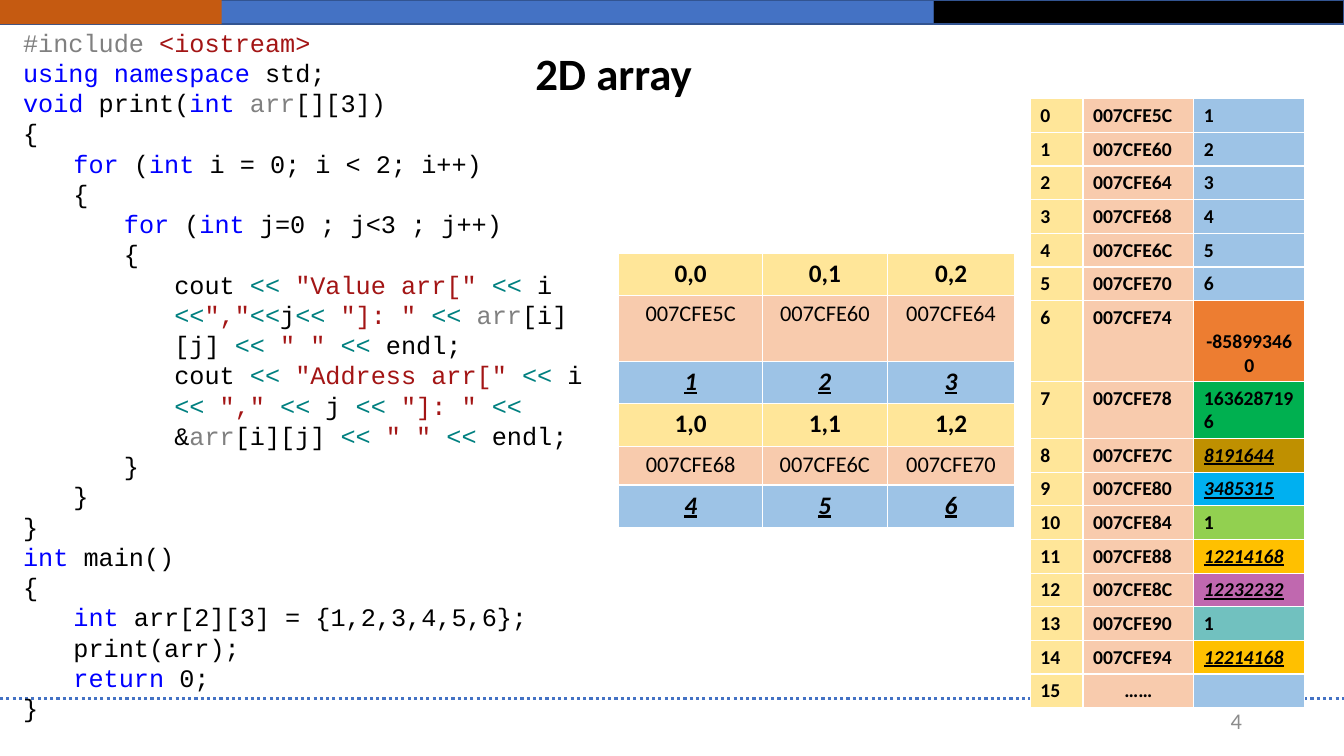
from pptx import Presentation
from pptx.dml.color import RGBColor
from pptx.enum.dml import MSO_LINE
from pptx.enum.shapes import MSO_CONNECTOR, MSO_SHAPE
from pptx.enum.text import MSO_ANCHOR as Anchor, PP_ALIGN as Align
from pptx.oxml.ns import qn
from pptx.util import Pt
from lxml.etree import SubElement

SLIDE_WIDTH, SLIDE_HEIGHT = 960, 540
BLACK, BLUE, YELLOW, PEACH, SKY = "000000", "4472C4", "FFE699", "F8CBAD", "9DC3E6"

TOKEN_COLORS = {
    **dict.fromkeys(["using namespace", "void", "int", "for", "return"], "0000FF"),
    **dict.fromkeys(["#include", "arr"], "808080"),
    "<iostream>": "A31515",
    "<<": "008080",
}
# Indent level and code; bars separate the coloured tokens.
CODE = [
    (0, "#include |<iostream>"),
    (0, "using namespace| std;"),
    (0, "void| print(|int |arr|[][3])"),
    (0, "{"),
    (1, "for| (|int| i = 0; i < 2; i++)"),
    (1, "{"),
    (2, "for| (|int| j=0 ; j<3 ; j++)"),
    (2, "{"),
    (3, 'cout |<< |"Value arr[" |<< |i |<<|","|<<|j|<< |"]: " |<< |arr|[i][j] |<< |" " |<< |endl;'),
    (3, 'cout |<< |"Address arr[" |<< |i |<< |"," |<<| j |<< |"]: " |<<| &|arr|[i][j] |<< |" " |<< |endl;'),
    (2, "}"),
    (1, "}"),
    (0, "}"),
    (0, "int| main()"),
    (0, "{"),
    (1, "int |arr[2][3] = {1,2,3,4,5,6};"),
    (1, "print(arr);"),
    (1, "return| 0;"),
    (0, "}"),
]

# Value, fill and whether it is a stray value set in underlined italics.
MEMORY = [(str(number), SKY, False) for number in range(1, 7)] + [
    (" -858993460", "ED7D31", False),
    ("1636287196", "00B050", False),
    ("8191644", "BF9000", True),
    ("3485315", "00B0F0", True),
    ("1", "92D050", False),
    ("12214168", "FFC000", True),
    ("12232232", "C068AF", True),
    ("1", "71C1BF", False),
    ("12214168", "FFC000", True),
    ("", SKY, False),
]


def color(hex_string):
    return RGBColor.from_string(hex_string)


def address(index):
    """Address of the four-byte integer at this index."""
    return f"{0x7CFE5C + 4 * index:08X}"


def style_font(font, size, hex_string=BLACK, bold=False, emphasis=False, name="Calibri"):
    font.name, font.size, font.bold = name, Pt(size), bold
    font.italic = font.underline = emphasis
    font.color.rgb = color(hex_string)


def add_bar(slide, left, top, width, height, fill, outline=None):
    bar = slide.shapes.add_shape(MSO_SHAPE.RECTANGLE, Pt(left), Pt(top), Pt(width), Pt(height))
    bar.shadow.inherit = False
    bar.fill.solid()
    bar.fill.fore_color.rgb = color(fill)
    if outline:
        bar.line.color.rgb = color(outline)
        bar.line.width = Pt(1)
    else:
        bar.line.fill.background()


def add_header(slide, left, top, width, height):
    blue_width = 666.7
    add_bar(slide, left, top, blue_width, height, BLUE, "325491")
    add_bar(slide, left + blue_width, top, width - blue_width, height, BLACK, "325491")
    add_bar(slide, left, top, 158.4, height, "C55A11")


def add_footer_line(slide, left, top, width):
    line = slide.shapes.add_connector(
        MSO_CONNECTOR.STRAIGHT, Pt(left), Pt(top), Pt(left + width), Pt(top))
    line.line.color.rgb = color(BLUE)
    line.line.width = Pt(2.25)
    line.line.dash_style = MSO_LINE.ROUND_DOT
    SubElement(line._element.spPr, qn("a:effectLst"))


def add_text_frame(slide, left, top, width, height, anchor=Anchor.MIDDLE):
    box = slide.shapes.add_textbox(Pt(left), Pt(top), Pt(width), Pt(height))
    frame = box.text_frame
    frame.word_wrap = True
    frame.vertical_anchor = anchor
    return frame


def add_label(slide, left, top, width, height, text, align, size, hex_string=BLACK, bold=False):
    paragraph = add_text_frame(slide, left, top, width, height).paragraphs[0]
    paragraph.text = text
    paragraph.alignment = align
    style_font(paragraph.font, size, hex_string, bold)


def add_code(slide, left, top, width, height):
    frame = add_text_frame(slide, left, top, width, height, Anchor.TOP)
    for number, (level, line) in enumerate(CODE):
        paragraph = frame.add_paragraph() if number else frame.paragraphs[0]
        paragraph.level = level
        paragraph._p.get_or_add_pPr().set("marL", str(Pt(36 * level)))
        for token in line.split("|"):
            run = paragraph.add_run()
            run.text = token
            default = "A31515" if token.startswith('"') else BLACK
            style_font(run.font, 18, TOKEN_COLORS.get(token.strip(), default), name="Courier New")


def add_grid(slide, left, top, widths, heights):
    table = slide.shapes.add_table(
        len(heights), len(widths), Pt(left), Pt(top), Pt(sum(widths)), Pt(sum(heights))).table
    table.horz_banding = False
    for column, width in zip(table.columns, widths):
        column.width = Pt(width)
    for row, height in zip(table.rows, heights):
        row.height = Pt(height)
    return table


def fill_cell(cell, text, fill, align, size, bold=True, emphasis=False):
    cell.fill.solid()
    cell.fill.fore_color.rgb = color(fill)
    paragraph = cell.text_frame.paragraphs[0]
    paragraph.text = text
    paragraph.alignment = align
    style_font(paragraph.font, size, BLACK, bold, emphasis)


def add_memory_table(slide, left, top):
    table = add_grid(slide, left, top, [37.6, 79.2, 79.2], [19.4] * len(MEMORY))
    last = len(MEMORY) - 1
    for index, (value, fill, stray) in enumerate(MEMORY):
        place = "……" if index == last else address(index)
        place_align = Align.CENTER if index == last else Align.LEFT
        value_align = Align.CENTER if value.startswith(" ") else Align.LEFT
        fill_cell(table.cell(index, 0), str(index), YELLOW, Align.LEFT, 14)
        fill_cell(table.cell(index, 1), place, PEACH, place_align, 14)
        fill_cell(table.cell(index, 2), value, fill, value_align, 14, emphasis=stray)


def add_array_table(slide, left, top):
    """Each array row takes three table rows: subscripts, addresses and values."""
    table = add_grid(slide, left, top, [102.7, 89, 91.3], [30, 47, 30.5, 30.5, 27.5, 30.5])
    for index in range(6):
        i, j = divmod(index, 3)
        fill_cell(table.cell(3 * i, j), f"{i},{j}", YELLOW, Align.CENTER, 18)
        fill_cell(table.cell(3 * i + 1, j), address(index), PEACH, Align.CENTER, 16, bold=False)
        fill_cell(table.cell(3 * i + 2, j), str(index + 1), SKY, Align.CENTER, 18, emphasis=True)


def main():
    presentation = Presentation()
    presentation.slide_width, presentation.slide_height = Pt(SLIDE_WIDTH), Pt(SLIDE_HEIGHT)
    slide = presentation.slides.add_slide(presentation.slide_layouts[6])
    add_header(slide, 0, 0, SLIDE_WIDTH, 17.3)
    add_footer_line(slide, 0, 499, SLIDE_WIDTH)
    add_label(slide, 678.2, 500.4, 216, 28.8, "4", Align.RIGHT, 16, "8C8C8C")
    add_code(slide, 9.4, 15.8, 432.7, 509)
    add_memory_table(slide, 736, 70.5)
    add_array_table(slide, 442, 181)
    add_label(slide, 28, 21.6, 828, 60.5, "2D array ", Align.CENTER, 32, bold=True)
    presentation.save("out.pptx")


if __name__ == "__main__":
    main()
